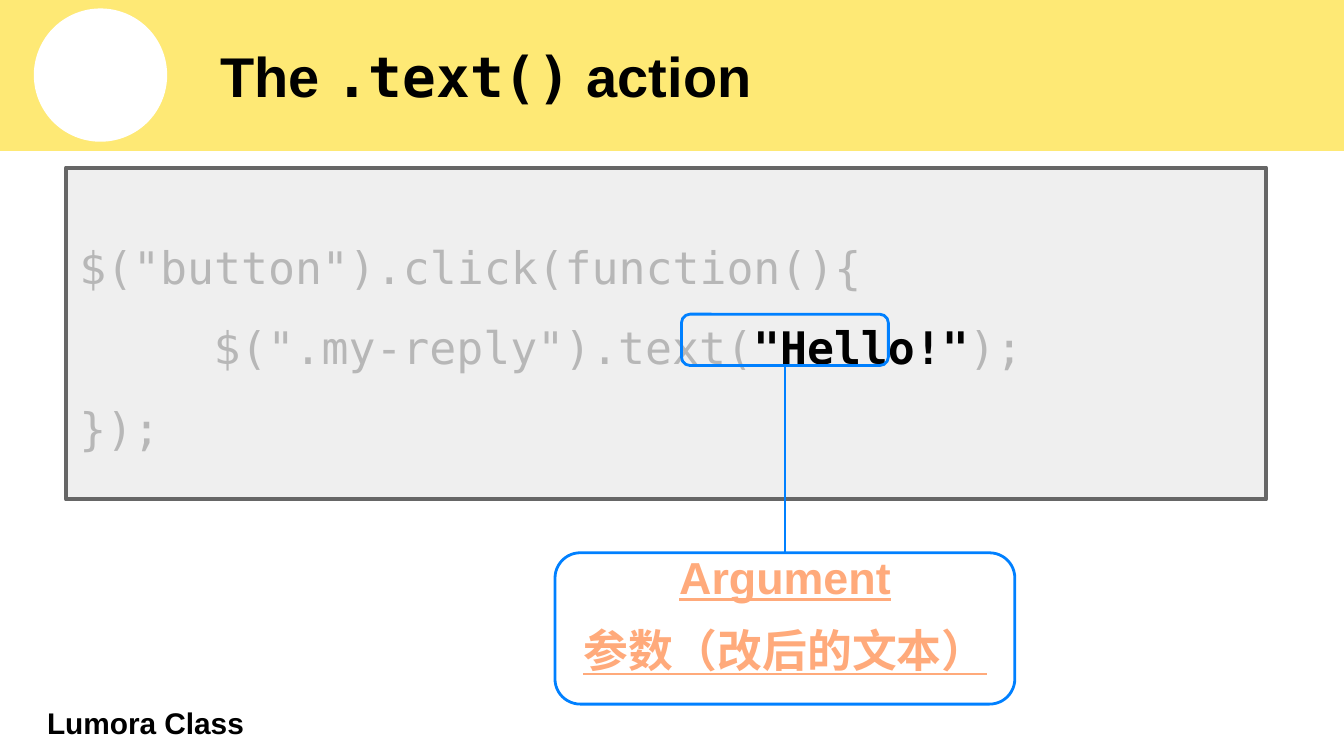
from lxml import etree
from pptx import Presentation
from pptx import util as u
from pptx.dml.color import RGBColor
from pptx.enum import shapes, text
from pptx.oxml import ns

YELLOW = RGBColor(0xFE, 0xE9, 0x75)
WHITE = RGBColor(0xFF, 0xFF, 0xFF)
BLACK = RGBColor(0, 0, 0)
PANEL = RGBColor(0xEF, 0xEF, 0xEF)
BORDER = RGBColor(0x66, 0x66, 0x66)
FADED = RGBColor(0xB7, 0xB7, 0xB7)
BLUE = RGBColor(0x00, 0x80, 0xFF)
ORANGE = RGBColor(0xFF, 0xAA, 0x7B)
SANS, MONO = "Arial", "DejaVu Sans Mono"
INSET = u.Cm(0.25)


def add_outline(slide, kind, box, fill=None, line=None, width=0.75):
    outline = slide.shapes.add_shape(kind, *map(u.Cm, box))
    outline.shadow.inherit = False
    if fill is None:
        outline.fill.background()
    else:
        outline.fill.solid()
        outline.fill.fore_color.rgb = fill
    if line is None:
        outline.line.fill.background()
    else:
        outline.line.color.rgb = line
        outline.line.width = u.Pt(width)
    return outline


def prepare_frame(holder):
    frame = holder.text_frame
    frame.word_wrap = True
    frame.vertical_anchor = text.MSO_ANCHOR.MIDDLE
    frame.margin_left = frame.margin_right = INSET
    frame.margin_top = frame.margin_bottom = INSET
    return frame


def add_words(paragraph, words, size, face, color, bold=False):
    run = paragraph.add_run()
    run.text = words
    run.font.size = u.Pt(size)
    run.font.name = face
    run.font.color.rgb = color
    run.font.bold = bold
    return run


def add_tab_stop(paragraph, position):
    stops = etree.SubElement(paragraph._p.get_or_add_pPr(), ns.qn("a:tabLst"))
    etree.SubElement(stops, ns.qn("a:tab"), pos=str(position), algn="l")


def add_label(slide, box, pieces, size):
    label = slide.shapes.add_textbox(*map(u.Cm, box))
    paragraph = prepare_frame(label).paragraphs[0]
    for words, face in pieces:
        add_words(paragraph, words, size, face, BLACK, True)


def add_header(slide, box):
    left, top, width, height = box
    add_outline(slide, shapes.MSO_SHAPE.RECTANGLE, box, YELLOW, YELLOW)
    add_outline(slide, shapes.MSO_SHAPE.OVAL,
                (left + 0.64, top + 0.18, 2.52, 2.52), WHITE)
    add_label(slide, (left + 3.91, top + 0.18, width - 4.57, 2.52),
              [("The ", SANS), (".text()", MONO), (" action", SANS)], 30)


def add_code(slide, box):
    panel = add_outline(slide, shapes.MSO_SHAPE.RECTANGLE, box, PANEL, BORDER, 2.25)
    frame = prepare_frame(panel)
    lines = [
        [('$("button").click(function(){', False)],
        [('\t$(".my-reply").text(', False), ('"Hello!"', True), (");", False)],
        [("});", False)],
    ]
    for index, pieces in enumerate(lines):
        paragraph = frame.add_paragraph() if index else frame.paragraphs[0]
        add_tab_stop(paragraph, u.Cm(2.54))
        paragraph.alignment = text.PP_ALIGN.LEFT
        paragraph.line_spacing = 1.5
        for words, stressed in pieces:
            add_words(paragraph, words, 24, MONO, BLACK if stressed else FADED, stressed)


def add_callout(slide, target, box):
    rounded = shapes.MSO_SHAPE.ROUNDED_RECTANGLE
    add_outline(slide, rounded, target, line=BLUE, width=1.5)
    explanation = add_outline(slide, rounded, box, WHITE, BLUE, 1.5)
    frame = prepare_frame(explanation)
    frame.margin_bottom = u.Cm(0.83)
    for index, words in enumerate(["Argument", "参数（改后的文本）"]):
        paragraph = frame.add_paragraph() if index else frame.paragraphs[0]
        paragraph.alignment = text.PP_ALIGN.CENTER
        if index:
            paragraph.space_before = u.Pt(10)
        add_words(paragraph, words, 24, SANS, ORANGE, True).font.underline = True

    center = u.Cm(box[0] + box[2] / 2)
    leader = slide.shapes.add_connector(
        shapes.MSO_CONNECTOR.STRAIGHT, center, u.Cm(box[1]),
        center, u.Cm(target[1] + target[3]))
    leader.line.color.rgb = BLUE
    leader.line.width = u.Pt(1.5)
    etree.SubElement(leader._element.spPr, ns.qn("a:effectLst"))


def main():
    deck = Presentation()
    deck.slide_width, deck.slide_height = u.Cm(25.4), u.Cm(14.29)
    slide = deck.slides.add_slide(deck.slide_layouts[6])
    add_header(slide, (0, -0.02, 25.4, 2.87))
    add_label(slide, (0.64, 13.34, 7.62, 0.64), [("Lumora Class", SANS)], 16)
    add_code(slide, (1.25, 3.17, 22.68, 6.27))
    add_callout(slide, (12.88, 5.94, 3.91, 0.97), (10.49, 10.45, 8.69, 2.86))
    deck.save("out.pptx")


if __name__ == "__main__":
    main()
